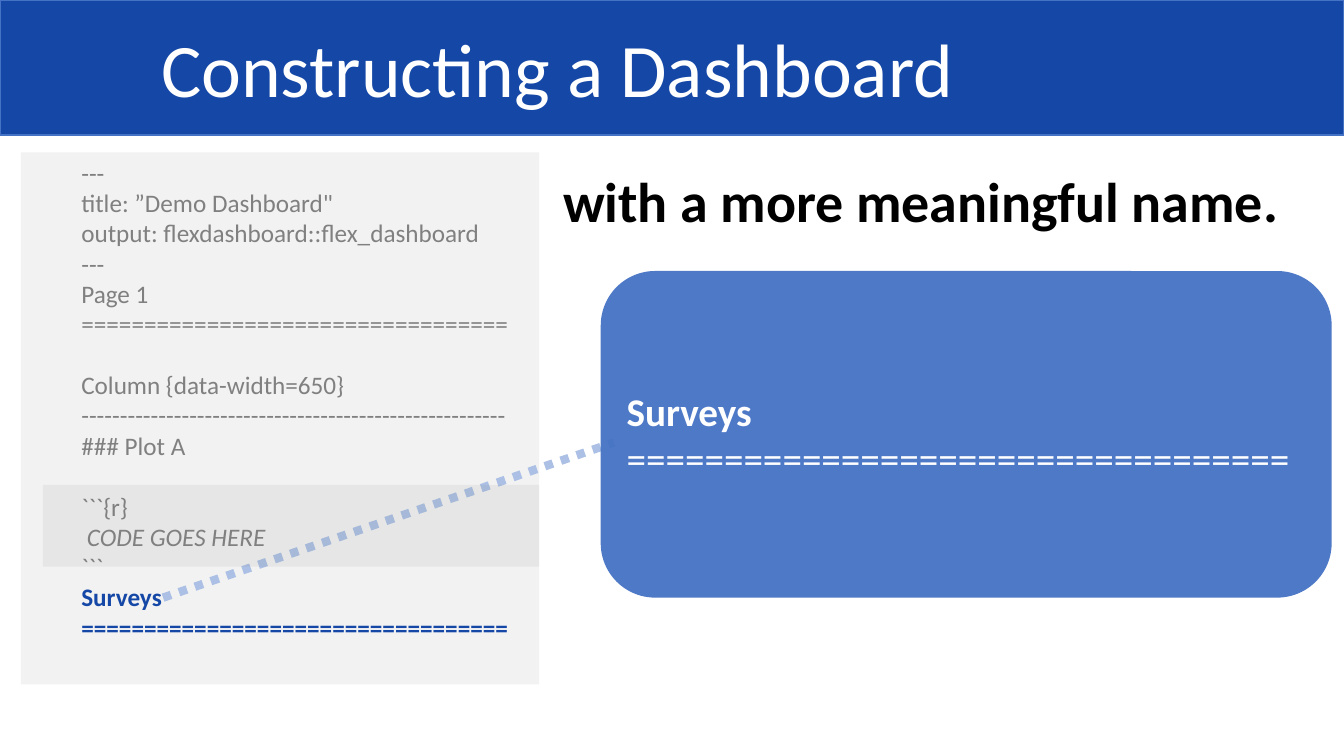
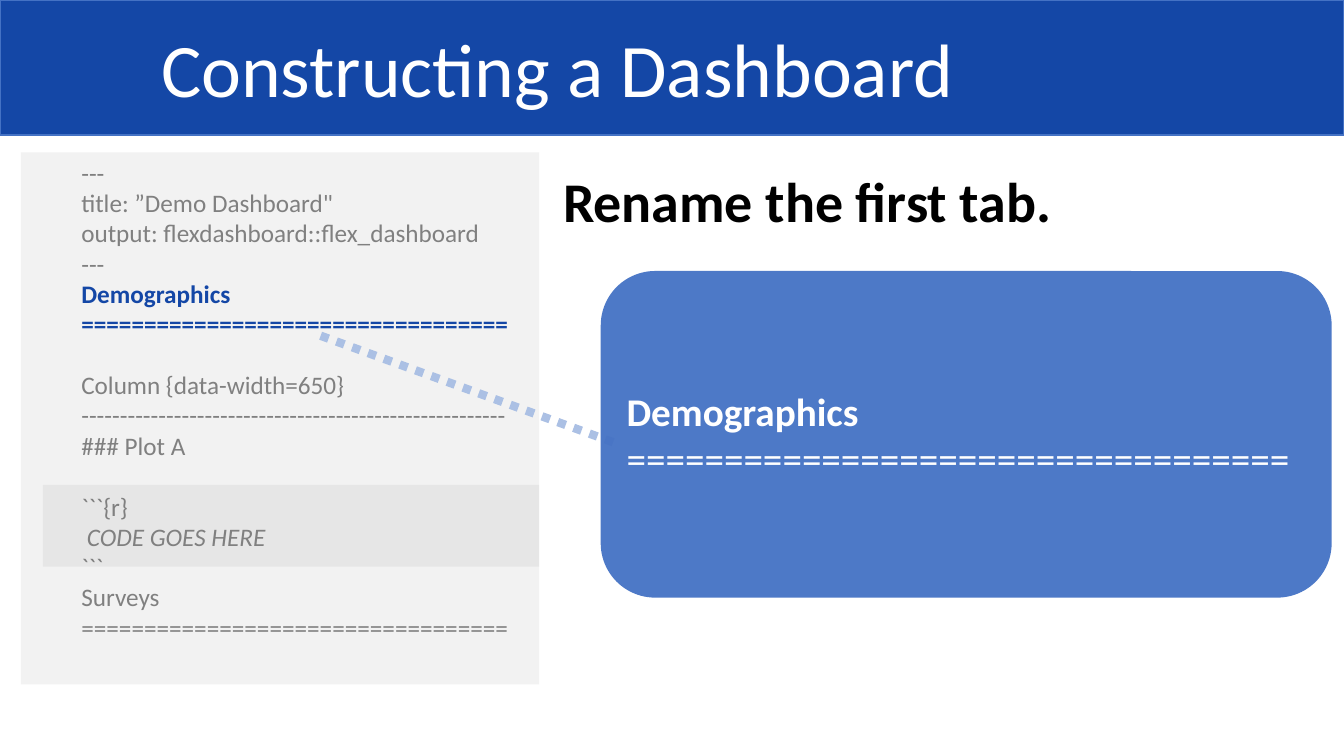
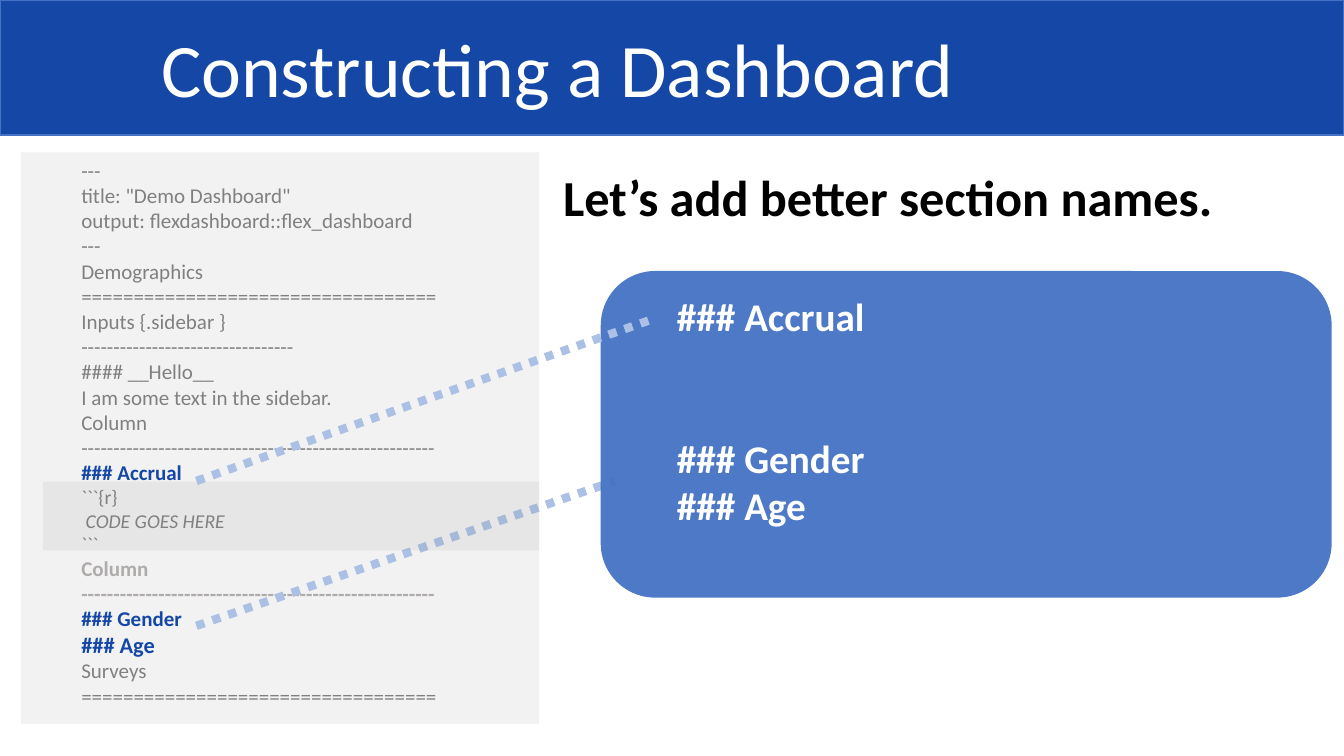
from dataclasses import dataclass

from lxml import etree
from pptx import Presentation
from pptx.dml.color import RGBColor
from pptx.enum.dml import MSO_LINE
from pptx.enum.shapes import MSO_CONNECTOR, MSO_SHAPE
from pptx.enum.text import MSO_ANCHOR, MSO_AUTO_SIZE, PP_ALIGN
from pptx.oxml.ns import qn
from pptx.util import Cm, Pt

RECT = MSO_SHAPE.RECTANGLE
ROUNDED = MSO_SHAPE.ROUNDED_RECTANGLE
STRAIGHT = MSO_CONNECTOR.STRAIGHT
DOTTED = MSO_LINE.ROUND_DOT
TOP, MIDDLE = MSO_ANCHOR.TOP, MSO_ANCHOR.MIDDLE
LEFT = PP_ALIGN.LEFT
NO_FIT = MSO_AUTO_SIZE.NONE
TITLE_ONLY = 5


@dataclass(frozen=True)
class Theme:
    font: str = "Calibri"
    navy: str = "1447A6"
    blue: str = "4472C4"
    pale_blue: str = "ABC0E4"
    panel: str = "F2F2F2"
    gray: str = "808080"
    muted: str = "AFABAB"
    white: str = "FFFFFF"
    black: str = "000000"
    title_size: int = 54
    headline_size: int = 40
    callout_size: int = 28
    code_size: int = 18
    link_width: int = 6
    line_height: float = 1.22


@dataclass(frozen=True)
class Line:
    text: str
    color: str
    bold: bool = False
    italic: bool = False
    gap: int = 0
    grow: int = 0


THEME = Theme()
TITLE = "Constructing a Dashboard"
PAGE_RULE = "=" * 34
COLUMN_RULE = "-" * 55
INPUT_RULE = "-" * 33
CALLOUT_BOX = (15.14, 6.83, 18.42, 8.23)


def plain(text, gap=0, grow=0, italic=False):
    return Line(text, THEME.gray, italic=italic, gap=gap, grow=grow)


def key(text, grow=0):
    return Line(text, THEME.navy, bold=True, grow=grow)


def muted(text):
    return Line(text, THEME.muted, bold=True)


def white(text, bold=True, gap=0):
    return Line(text, THEME.white, bold=bold, gap=gap)


def code_header(title):
    return [plain(t) for t in ("---", title,
                               "output: flexdashboard::flex_dashboard", "---")]


def code_chunk(gap=0, grow=0):
    return [plain("```{r}", gap, grow),
            plain(" CODE GOES HERE", grow=grow, italic=True),
            plain("```", grow=grow)]


def tabs_code(first, first_look, second_look):
    return [*code_header("title: ”Demo Dashboard\""),
            first_look(first), first_look(PAGE_RULE),
            plain("Column {data-width=650}", gap=1),
            plain(COLUMN_RULE), plain("### Plot A"),
            *code_chunk(gap=1),
            second_look("Surveys"), second_look(PAGE_RULE)]


def sections_code():
    middle = ("Demographics", PAGE_RULE, "Inputs {.sidebar }", INPUT_RULE,
              "#### __Hello__", "I am some text in the sidebar.",
              "Column", COLUMN_RULE)
    return [*code_header('title: "Demo Dashboard"'),
            *[plain(t) for t in middle],
            key("### Accrual"), *code_chunk(grow=-1),
            muted("Column"), muted(COLUMN_RULE),
            key("### Gender"), key("### Age", grow=1),
            plain("Surveys"), plain(PAGE_RULE)]


def rgb(color):
    return RGBColor.from_string(color)


def write_lines(tf, lines, size, anchor):
    tf.word_wrap = True
    tf.auto_size = NO_FIT
    tf.vertical_anchor = anchor
    for i, line in enumerate(lines):
        p = tf.add_paragraph() if i else tf.paragraphs[0]
        p.text = line.text
        p.alignment = LEFT
        if line.gap:
            p.space_before = Pt(line.gap * size * THEME.line_height)
        for r in p.runs:
            r.font.name = THEME.font
            r.font.size = Pt(size + line.grow)
            r.font.bold = line.bold
            r.font.italic = line.italic
            r.font.color.rgb = rgb(line.color)


def add_box(s, kind, box, fill, opacity=100):
    sp = s.shapes.add_shape(kind, *map(Cm, box))
    sp.shadow.inherit = False
    sp.line.fill.background()
    sp.fill.solid()
    sp.fill.fore_color.rgb = rgb(fill)
    if opacity < 100:
        color = sp._element.spPr.find(qn("a:solidFill")).find(qn("a:srgbClr"))
        etree.SubElement(color, qn("a:alpha")).set("val", str(opacity * 1000))
    return sp


def add_title(s):
    sp = s.shapes.title
    sp.left, sp.top, sp.width, sp.height = map(Cm, (0, 0, 33.87, 3.4))
    sp.fill.solid()
    sp.fill.fore_color.rgb = rgb(THEME.navy)
    sp.line.color.rgb = rgb(THEME.blue)
    sp.line.width = Pt(1)
    sp.text_frame.margin_left = Cm(4.06)
    write_lines(sp.text_frame, [white(TITLE, bold=False)],
                THEME.title_size, MIDDLE)


def add_code(s, lines, height=13.41, size=THEME.code_size):
    sp = add_box(s, RECT, (0.53, 3.84, 13.06, height), THEME.panel)
    sp.text_frame.margin_left = Cm(1.52)
    write_lines(sp.text_frame, lines, size, TOP)


def add_chunk_shade(s, top, height):
    add_box(s, RECT, (1.08, top, 12.51, height), THEME.gray, 10)


def add_link(s, start, end):
    c = s.shapes.add_connector(STRAIGHT, *map(Cm, (*start, *end)))
    c.line.color.rgb = rgb(THEME.pale_blue)
    c.line.width = Pt(THEME.link_width)
    c.line.dash_style = DOTTED
    etree.SubElement(c._element.spPr, qn("a:effectLst"))


def add_callout(s, lines, left=0.25, bottom=0.13):
    tf = add_box(s, ROUNDED, CALLOUT_BOX, THEME.blue, 95).text_frame
    tf.margin_left, tf.margin_bottom = Cm(left), Cm(bottom)
    write_lines(tf, lines, THEME.callout_size, MIDDLE)


def add_headline(s, text, size=THEME.headline_size):
    sp = s.shapes.add_textbox(*map(Cm, (13.94, 4.06, 19.61, 1.96)))
    write_lines(sp.text_frame, [Line(text, THEME.black, bold=True)], size, TOP)


def add_slide(prs):
    s = prs.slides.add_slide(prs.slide_layouts[TITLE_ONLY])
    add_title(s)
    return s


def add_tab_slide(prs, headline, tab, code, link_start):
    s = add_slide(prs)
    add_code(s, code)
    add_link(s, link_start, (15.47, 11.15))
    add_callout(s, [white(tab), white(PAGE_RULE, bold=False)])
    add_headline(s, headline)
    add_chunk_shade(s, 12.22, 2.06)


def add_section_slide(prs):
    s = add_slide(prs)
    add_code(s, sections_code(), height=14.4, size=15)
    add_link(s, (4.95, 15.77), (15.49, 12.12))
    add_callout(s, [white("### Accrual"), white("### Gender", gap=2),
                    white("### Age")], left=1.52, bottom=1.33)
    add_headline(s, "Let’s add better section names.", size=36)
    add_chunk_shade(s, 12.14, 1.73)
    add_link(s, (4.95, 12.12), (16.48, 8.03))


def main():
    prs = Presentation()
    prs.slide_width, prs.slide_height = Cm(33.87), Cm(19.05)
    add_tab_slide(prs, "with a more meaningful name.", "Surveys",
                  tabs_code("Page 1", plain, key), (4.11, 15.06))
    add_tab_slide(prs, "Rename the first tab.", "Demographics",
                  tabs_code("Demographics", key, plain), (8.08, 8.46))
    add_section_slide(prs)
    prs.save("out.pptx")


if __name__ == "__main__":
    main()
